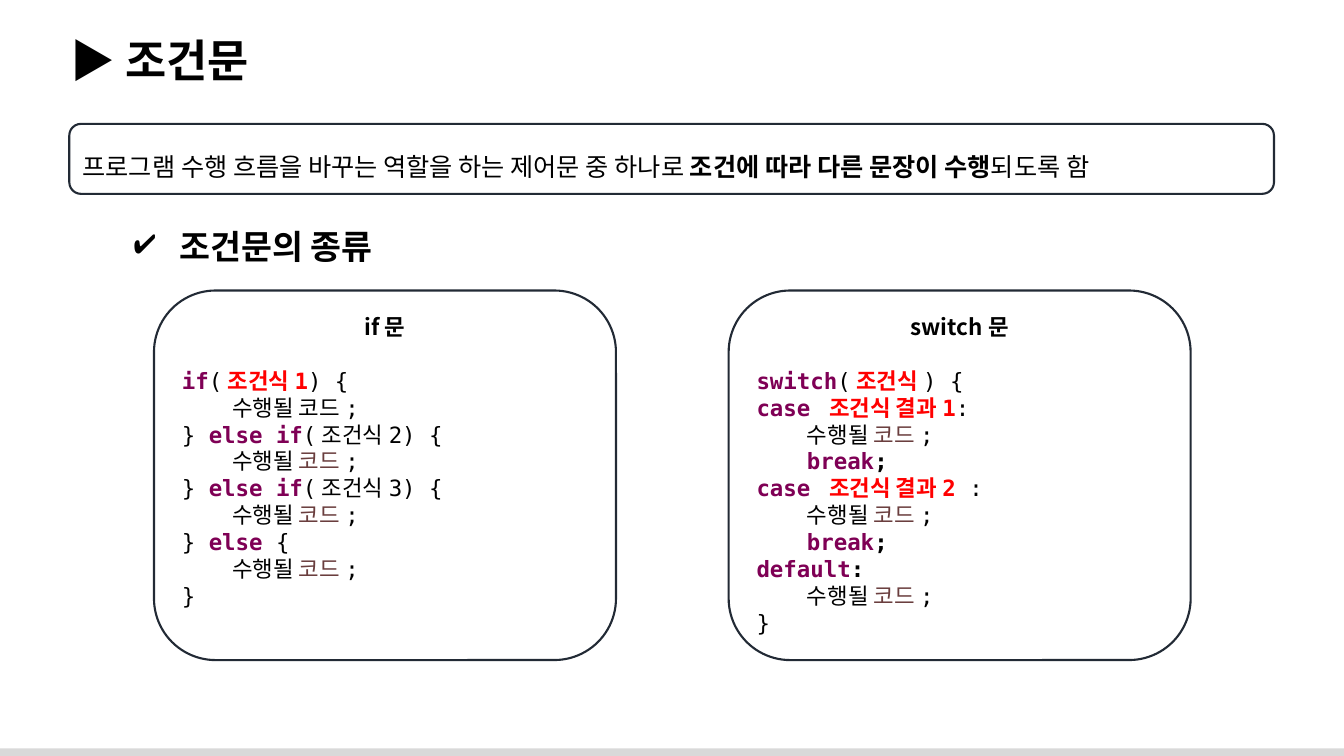
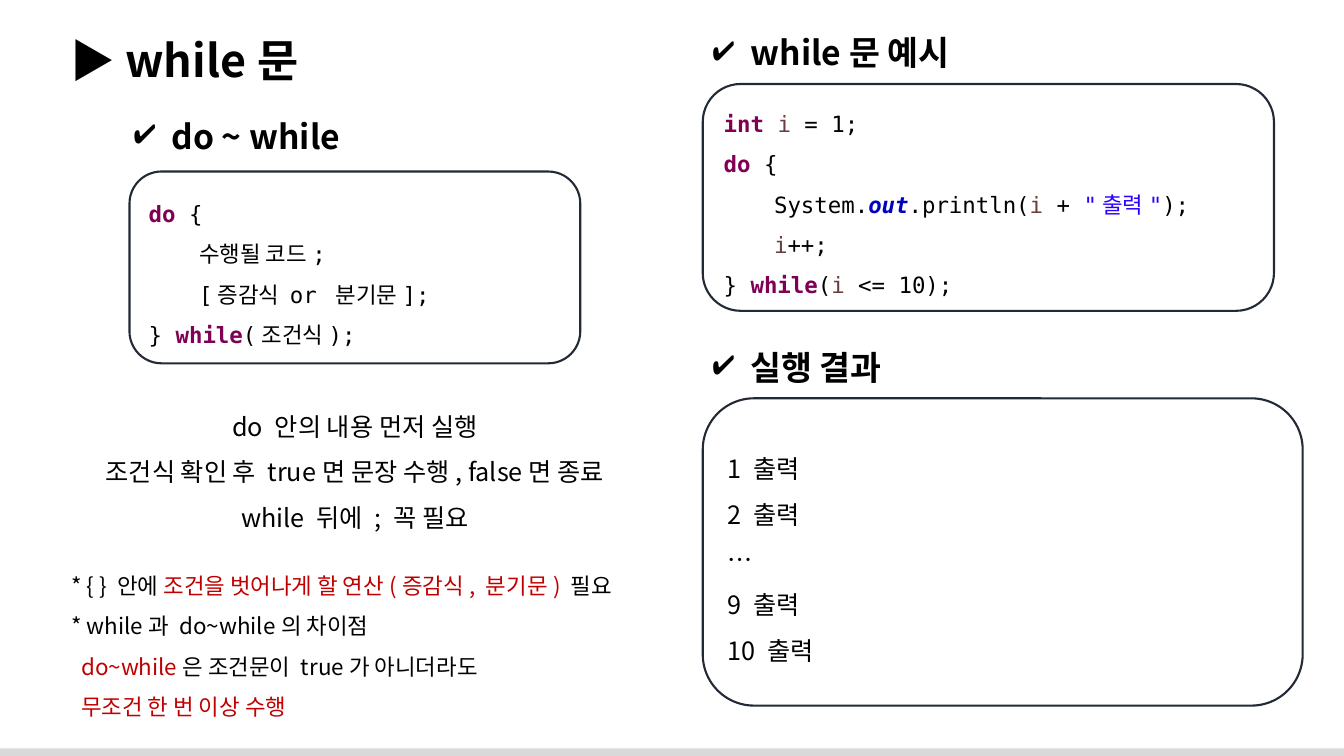
from dataclasses import dataclass

from lxml import etree
from pptx import Presentation
from pptx.dml.color import RGBColor
from pptx.enum.shapes import MSO_SHAPE
from pptx.enum.text import MSO_ANCHOR, PP_ALIGN
from pptx.oxml.ns import qn
from pptx.util import Pt

RECTANGLE, ROUNDED = MSO_SHAPE.RECTANGLE, MSO_SHAPE.ROUNDED_RECTANGLE
TOP, MIDDLE = MSO_ANCHOR.TOP, MSO_ANCHOR.MIDDLE
LEFT, CENTER = PP_ALIGN.LEFT, PP_ALIGN.CENTER


@dataclass(frozen=True)
class Theme:
    """Colours, fonts and type sizes of the deck."""

    ink: str = "000000"
    outline: str = "222A35"
    footer: str = "D9D9D9"
    keyword: str = "7F0055"
    condition: str = "FF0000"
    variable: str = "6A3E3E"
    field: str = "0000C0"
    literal: str = "2A00FF"
    warning: str = "C00000"
    sans: str = "Noto Sans CJK KR"
    mono: str = "DejaVu Sans Mono"
    title: int = 32
    heading: int = 24
    body: int = 18
    code: int = 16
    border: float = 1.5
    loose: float = 1.5
    gap: int = 19


THEME = Theme()
STYLES = {
    "bold": (THEME.ink, True, False),
    "keyword": (THEME.keyword, True, False),
    "condition": (THEME.condition, True, False),
    "variable": (THEME.variable, False, False),
    "field": (THEME.field, True, True),
    "literal": (THEME.literal, False, False),
    "warning": (THEME.warning, False, False),
}


def keyword(text):
    """Mark a reserved word."""
    return text, "keyword"


def condition(text):
    """Mark a highlighted condition."""
    return text, "condition"


def variable(text):
    """Mark a variable."""
    return text, "variable"


def warning(text):
    """Mark a cautionary phrase."""
    return text, "warning"


RUN_CODE = ["\t수행될 ", variable("코드"), ";"]
BREAK = [keyword("\tbreak"), (";", "bold")]
IF_CODE = [
    [keyword("if"), "(", condition("조건식1"), ") {"],
    ["\t수행될 코드;"],
    ["} ", keyword("else if"), "(조건식2) {"],
    RUN_CODE,
    ["} ", keyword("else if"), "(조건식3) {"],
    RUN_CODE,
    ["} ", keyword("else "), "{"],
    RUN_CODE,
    ["}"],
]
SWITCH_CODE = [
    [keyword("switch"), "(", condition("조건식"), ") {"],
    [keyword("case "), condition("조건식 결과1"), ":"],
    RUN_CODE,
    BREAK,
    [keyword("case "), condition("조건식 결과2 "), ":"],
    RUN_CODE,
    BREAK,
    [keyword("default"), (":", "bold")],
    RUN_CODE,
    ["}"],
]
DO_WHILE_SYNTAX = [
    [keyword("do "), "{"],
    ["\t수행될 코드;"],
    ["\t[증감식 or 분기문];"],
    ["} ", keyword("while"), "(조건식);"],
]
DO_WHILE_EXAMPLE = [
    [keyword("int "), variable("i"), " = 1;"],
    [keyword("do "), "{"],
    ["\tSystem.", ("out", "field"), ".println(", variable("i"), " + ",
     ("\"출력\"", "literal"), ");"],
    [variable("\ti"), "++;"],
    ["} ", keyword("while"), "(", variable("i"), " <= 10);"],
]
EXPLANATION = [
    ["do 안의 내용 먼저 실행"],
    ["조건식 확인 후 true면 문장 수행, false면 종료"],
    ["while 뒤에 ; 꼭 필요"],
]
REMARKS = [
    ["* { } 안에 ", warning("조건을 벗어나게 할 연산(증감식, 분기문)"), " 필요"],
    ["* while과 do~while의 차이점"],
]
DIFFERENCE = [
    [warning("do~while"), "은 조건문이 true가 아니더라도"],
    [warning("무조건 한 번 이상 수행")],
]
OUTPUT = [["1 출력"], ["2 출력"], ["…"], ["9 출력"], ["10 출력"]]


def color(value):
    """Turn a hex string into a colour."""
    return RGBColor.from_string(value)


def write(frame, lines, size, face=THEME.sans, bold=False, align=LEFT,
          spacing=None, indent=0, bullet=None, hanging=0):
    """Append lines of plain or marked pieces and return the last paragraph."""
    for pieces in lines:
        paragraph = frame.add_paragraph() if frame.text else frame.paragraphs[0]
        paragraph.alignment = align
        properties = paragraph._p.get_or_add_pPr()
        if indent:
            properties.set("marL", str(Pt(indent)))
        if bullet:
            properties.set("indent", str(-Pt(hanging)))
            etree.SubElement(properties, qn("a:buChar")).set("char", bullet)
        if spacing:
            paragraph.line_spacing = spacing
        font = paragraph.font
        font.size, font.bold, font.name = Pt(size), bold, face
        font.color.rgb = color(THEME.ink)
        east_asian = etree.SubElement(properties.get_or_add_defRPr(), qn("a:ea"))
        east_asian.set("typeface", THEME.sans)
        for piece in pieces:
            text, style = (piece, None) if isinstance(piece, str) else piece
            run = paragraph.add_run()
            run.text = text
            if style:
                shade, run.font.bold, run.font.italic = STYLES[style]
                run.font.color.rgb = color(shade)
    return paragraph


def text_area(slide, box):
    """Add a wrapping text box and return its frame."""
    frame = slide.shapes.add_textbox(*map(Pt, box)).text_frame
    frame.word_wrap = True
    return frame


def panel(slide, box, anchor=MIDDLE):
    """Add an outlined rounded panel and return its text frame."""
    outline = slide.shapes.add_shape(ROUNDED, *map(Pt, box))
    outline.shadow.inherit = False
    outline.fill.background()
    outline.line.color.rgb = color(THEME.outline)
    outline.line.width = Pt(THEME.border)
    outline.text_frame.word_wrap = True
    outline.text_frame.vertical_anchor = anchor
    return outline.text_frame


def heading(slide, box, text):
    """Add a check-marked section heading."""
    write(text_area(slide, box), [[text]], THEME.heading, bold=True,
          indent=27, bullet="✔", hanging=27)


def titled_slide(deck, title):
    """Add a blank slide with the shared footer band and title."""
    slide = deck.slides.add_slide(deck.slide_layouts[6])
    band = slide.shapes.add_shape(RECTANGLE, Pt(-2), Pt(534.5), Pt(964), Pt(8))
    band.shadow.inherit = False
    band.fill.solid()
    band.fill.fore_color.rgb = color(THEME.footer)
    band.line.fill.background()
    write(text_area(slide, (43, 20, 907, 46)), [["▶ " + title]],
          THEME.title, bold=True)
    return slide


def syntax_card(slide, box, title, code):
    """Add a panel with a centred title above code."""
    frame = panel(slide, box, TOP)
    caption = write(frame, [[title]], THEME.code, bold=True, align=CENTER)
    caption.space_after = Pt(THEME.gap)
    write(frame, code, THEME.code, THEME.mono)


def code_section(slide, box, title, code, heading_box):
    """Add a heading and its code panel."""
    heading(slide, heading_box, title)
    write(panel(slide, box), code, THEME.code, THEME.mono, spacing=THEME.loose)


def notes_section(slide, box):
    """Add the explanation and the remarks below it."""
    frame = text_area(slide, box)
    last = write(frame, EXPLANATION, THEME.body, align=CENTER, spacing=THEME.loose)
    last.space_after = Pt(THEME.gap)
    write(frame, REMARKS, THEME.code, spacing=THEME.loose)
    write(frame, DIFFERENCE, THEME.code, spacing=THEME.loose, indent=7)


def output_section(slide, box, heading_box):
    """Add a heading and the program's output."""
    heading(slide, heading_box, "실행 결과")
    write(panel(slide, box), OUTPUT, THEME.body, spacing=THEME.loose)


def conditionals_slide(deck):
    """Build the overview of conditional statements."""
    slide = titled_slide(deck, "조건문")
    definition = ["프로그램 수행 흐름을 바꾸는 역할을 하는 제어문 중 하나로 ",
                  ("조건에 따라 다른 문장이 수행", "bold"), "되도록 함"]
    write(panel(slide, (49.5, 88.5, 860.5, 50)), [definition], THEME.body,
          spacing=THEME.loose)
    heading(slide, (88.5, 157.5, 204, 36), " 조건문의 종류")
    cards = [("if문", IF_CODE), ("switch문", SWITCH_CODE)]
    for column, (title, code) in enumerate(cards):
        syntax_card(slide, (110 + 410.5 * column, 207.5, 330, 264), title, code)


def do_while_slide(deck):
    """Build the do-while syntax, example and output."""
    slide = titled_slide(deck, "while문")
    code_section(slide, (92.5, 122.5, 322, 137), "do ~ while", DO_WHILE_SYNTAX,
                 (88.5, 79, 176, 36))
    code_section(slide, (502, 60, 408, 162), "while문 예시", DO_WHILE_EXAMPLE,
                 (502, 19.5, 192, 36))
    notes_section(slide, (44, 279.5, 419, 241))
    output_section(slide, (502, 284.5, 428.5, 219.5), (502, 244, 148, 36))


def main():
    """Build and save the deck."""
    deck = Presentation()
    deck.slide_width, deck.slide_height = Pt(960), Pt(540)
    conditionals_slide(deck)
    do_while_slide(deck)
    deck.save("out.pptx")


main()
